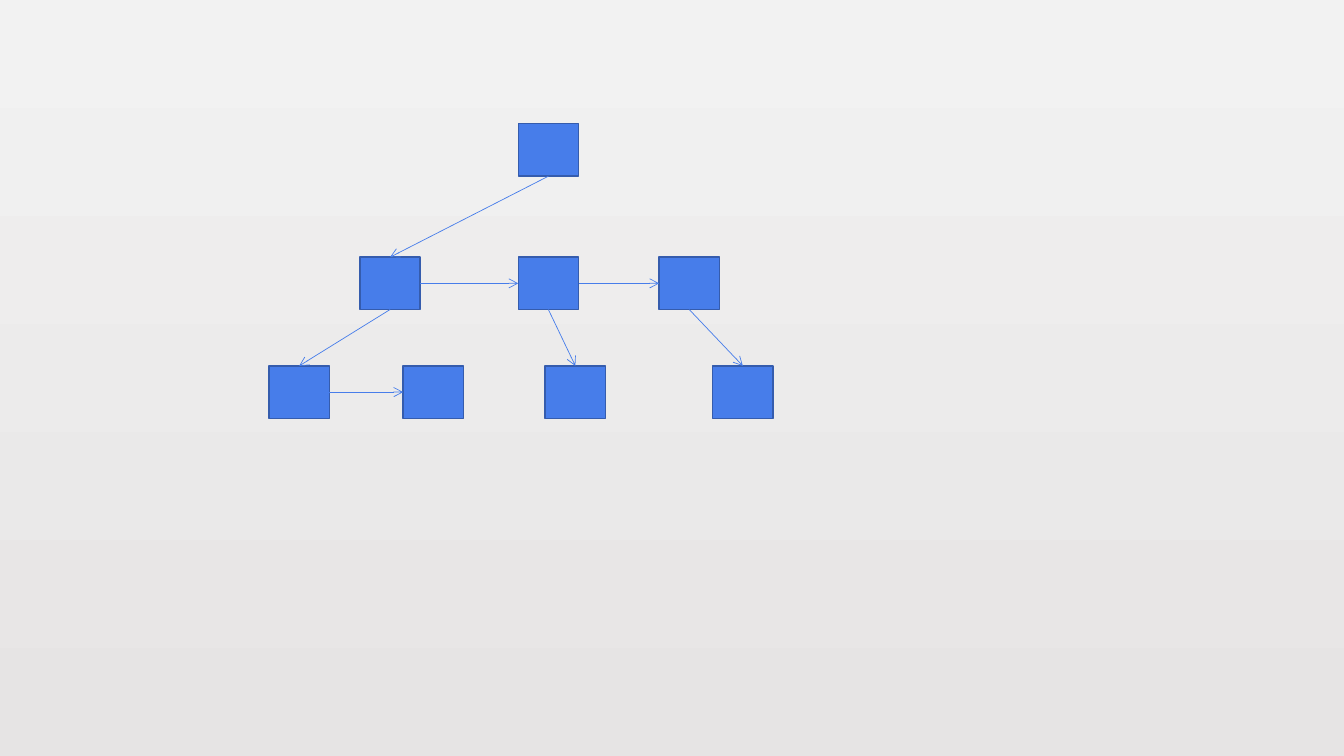
from lxml.etree import SubElement
from pptx import Presentation
from pptx.dml.color import RGBColor
from pptx.enum.shapes import MSO_CONNECTOR, MSO_SHAPE
from pptx.oxml.ns import qn
from pptx.util import Cm, Pt

# Connection sites of a rectangle
TOP, LEFT, BOTTOM, RIGHT = range(4)


def color(hex_code):
    """Turn a hex string into a colour."""
    return RGBColor.from_string(hex_code)


class TreeSlide:
    """Holds the tree's style and the slide it is drawn on."""

    node_fill = "477DEA"
    node_border = "355CAD"
    backdrop = ("F2F2F2", "E6E4E4")
    node_width, node_height = 1.52, 1.32

    def __init__(self, deck):
        """Add a blank page with the gradient backdrop."""
        self.page = deck.slides.add_slide(deck.slide_layouts[6])
        fill = self.page.background.fill
        fill.gradient()
        fill.gradient_angle = 270
        for stop, hex_code in zip(fill.gradient_stops, self.backdrop):
            stop.color.rgb = color(hex_code)

    def node(self, left, top):
        """Add one tree node."""
        box = self.page.shapes.add_shape(
            MSO_SHAPE.RECTANGLE, Cm(left), Cm(top),
            Cm(self.node_width), Cm(self.node_height))
        box.shadow.inherit = False
        box.fill.solid()
        box.fill.fore_color.rgb = color(self.node_fill)
        box.line.color.rgb = color(self.node_border)
        box.line.width = Pt(1)
        return box

    def arrow(self, source, source_site, target, target_site):
        """Join two nodes with a thin open arrow."""
        link = self.page.shapes.add_connector(MSO_CONNECTOR.STRAIGHT, 0, 0, 0, 0)
        link.begin_connect(source, source_site)
        link.end_connect(target, target_site)
        link.line.color.rgb = color(self.node_fill)
        link.line.width = Pt(0.5)
        SubElement(link.line._get_or_add_ln(), qn("a:tailEnd"), type="arrow")
        SubElement(link._element.spPr, qn("a:effectLst"))

    def child(self, parent, node):
        """Point from a parent down to its child."""
        self.arrow(parent, BOTTOM, node, TOP)

    def sibling(self, node, following):
        """Point from a node to the next one in its row."""
        self.arrow(node, RIGHT, following, LEFT)


def main():
    """Build the tree of first children and next siblings."""
    deck = Presentation()
    deck.slide_width, deck.slide_height = Cm(33.87), Cm(19.05)
    tree = TreeSlide(deck)

    root = tree.node(13.06, 3.12)
    branches = [tree.node(left, 6.48) for left in (9.07, 13.06, 16.61)]
    leaves = [tree.node(left, 9.22) for left in (6.78, 10.16, 13.74, 17.96)]
    first_leaf, second_leaf, *other_leaves = leaves

    tree.child(root, branches[0])
    for branch, leaf in zip(branches, [first_leaf, *other_leaves]):
        tree.child(branch, leaf)
    for node, following in zip(branches, branches[1:]):
        tree.sibling(node, following)
    tree.sibling(first_leaf, second_leaf)

    deck.save("out.pptx")


main()
